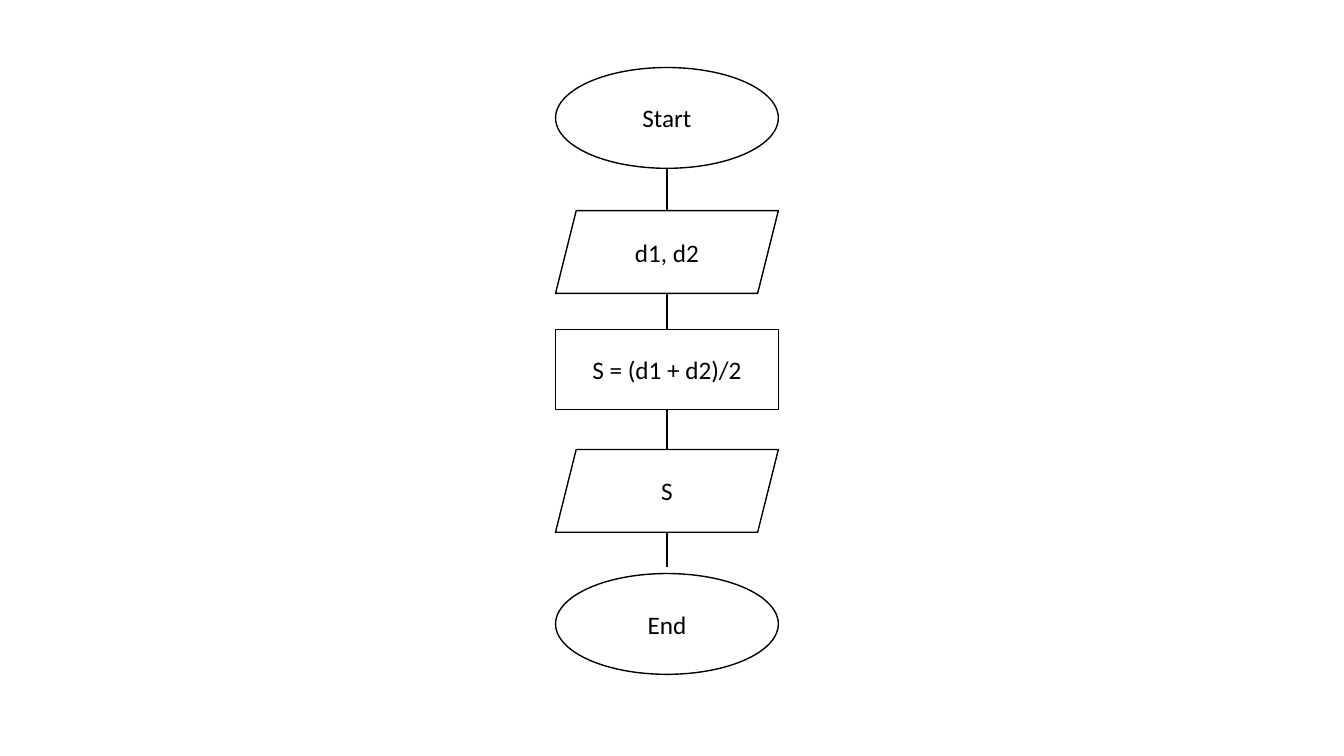
import pptx
import pptx.util
import pptx.dml.color
import pptx.enum.shapes
import pptx.enum.text
import pptx.oxml
import pptx.oxml.ns
from dataclasses import dataclass

Inches = pptx.util.Inches
Pt = pptx.util.Pt
Kind = pptx.enum.shapes.MSO_SHAPE


@dataclass(frozen=True)
class Theme:
    ink: pptx.dml.color.RGBColor = pptx.dml.color.RGBColor(0, 0, 0)
    paper: pptx.dml.color.RGBColor = pptx.dml.color.RGBColor(255, 255, 255)
    font: str = "Calibri"
    size: int = 18
    edge: float = 1
    link: float = 1.5


theme = Theme()

STEPS = [
    ("Start", Kind.OVAL, 0, 1),
    ("d1, d2", Kind.PARALLELOGRAM, 1.42, 0.82),
    ("S = (d1 + d2)/2", Kind.RECTANGLE, 2.6, 0.79),
    ("S", Kind.PARALLELOGRAM, 3.79, 0.82),
    ("End", Kind.OVAL, 5.02, 1),
]
END_GAP = 0.06


def add_step(slide, text, kind, left, top, width, height):
    step = slide.shapes.add_shape(
        kind, Inches(left), Inches(top), Inches(width), Inches(height))
    step.shadow.inherit = False
    step.fill.solid()
    step.fill.fore_color.rgb = theme.paper
    step.line.color.rgb = theme.ink
    step.line.width = Pt(theme.edge)
    frame = step.text_frame
    frame.word_wrap = True
    frame.vertical_anchor = pptx.enum.text.MSO_ANCHOR.MIDDLE
    para = frame.paragraphs[0]
    para.text = text
    para.alignment = pptx.enum.text.PP_ALIGN.CENTER
    para.font.name = theme.font
    para.font.size = Pt(theme.size)
    para.font.color.rgb = theme.ink


def add_link(slide, x, start, end):
    link = slide.shapes.add_connector(
        pptx.enum.shapes.MSO_CONNECTOR.STRAIGHT,
        Inches(x), Inches(start), Inches(x), Inches(end))
    link.line.color.rgb = theme.ink
    link.line.width = Pt(theme.link)
    link._element.spPr.append(
        pptx.oxml.parse_xml(f"<a:effectLst {pptx.oxml.ns.nsdecls('a')}/>"))


def add_flow(slide, left, top, width):
    for text, kind, drop, height in STEPS:
        add_step(slide, text, kind, left, top + drop, width, height)
    for (_, _, drop, height), (text, _, below, _) in zip(STEPS, STEPS[1:]):
        gap = END_GAP if text == "End" else 0
        add_link(slide, left + width / 2,
                 top + drop + height, top + below - gap)


deck = pptx.Presentation()
deck.slide_width = Inches(13.33)
deck.slide_height = Inches(7.5)
slide = deck.slides.add_slide(deck.slide_layouts[6])
add_flow(slide, 5.51, 0.67, 2.21)
deck.save("out.pptx")
